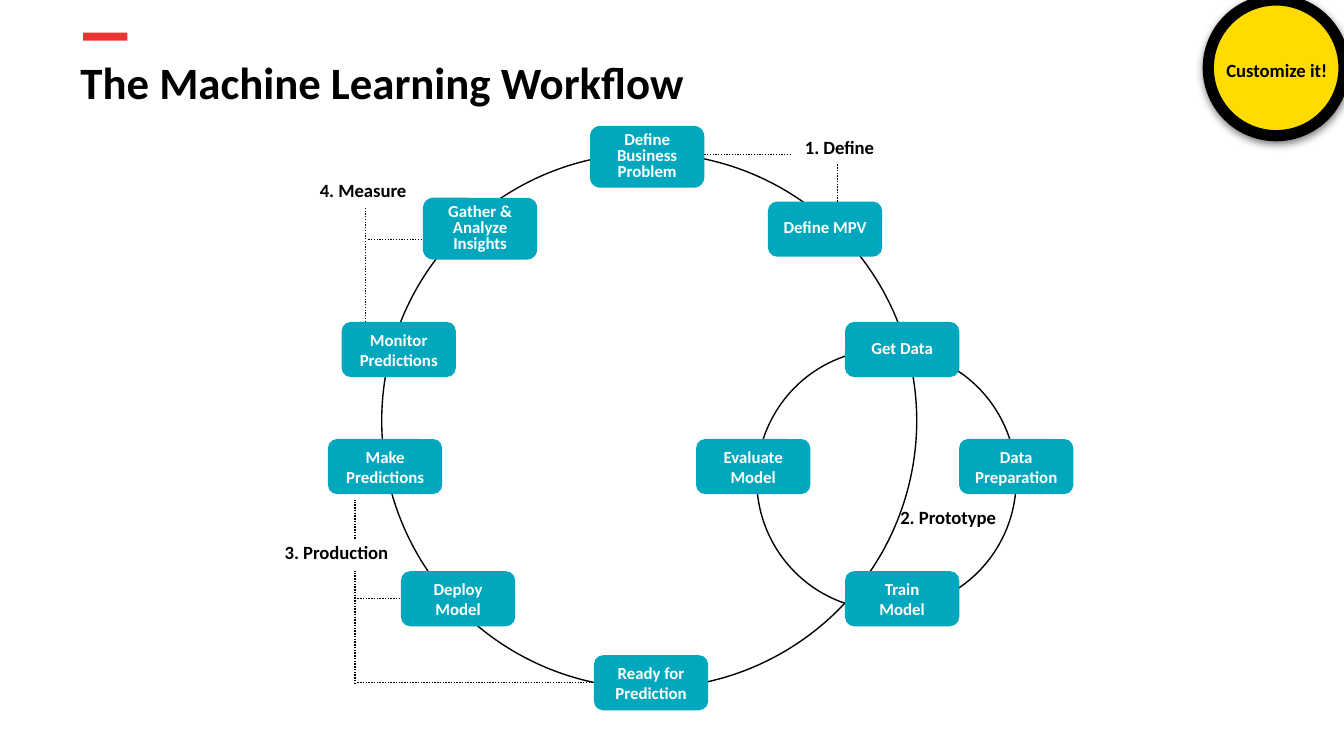
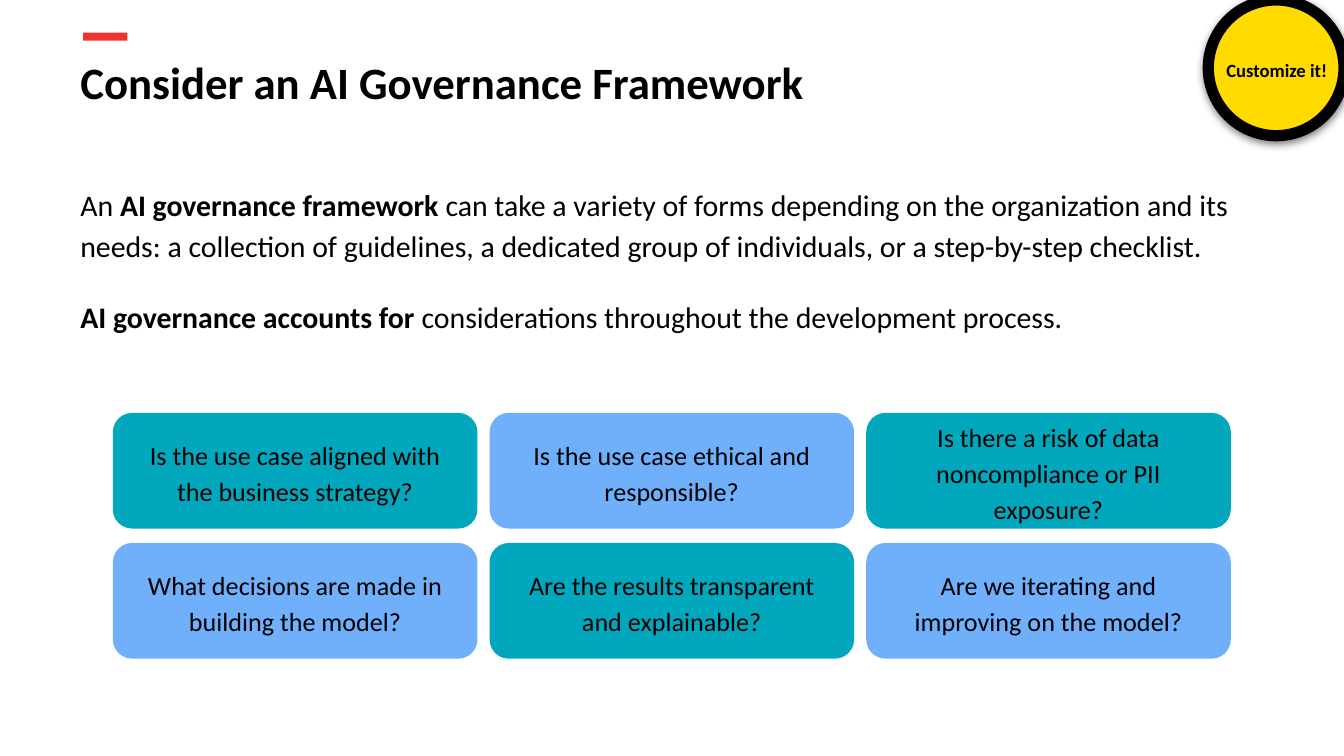
import pptx
import pptx.util
import pptx.dml.color
import pptx.enum.dml
import pptx.enum.shapes
import pptx.enum.text
import pptx.oxml
import pptx.oxml.ns
from lxml import etree

Pt = pptx.util.Pt
Kind = pptx.enum.shapes.MSO_SHAPE
Align = pptx.enum.text.PP_ALIGN
Anchor = pptx.enum.text.MSO_ANCHOR

FONT = "Calibri"
BLACK, WHITE = "000000", "FFFFFF"
RED, YELLOW = "ED332F", "FFDB00"
TEAL, BLUE = "00A7BD", "70B0FA"
PAD = 7.2
NODE_W, NODE_H, TALL_H = 61.2, 29.5, 33.1

# text, left, top, height, line spacing
NODES = [
    ("Define Business\nProblem", 316.1, 67.5, TALL_H, 0.8),
    ("Define MPV", 411.4, 108, NODE_H, 0.8),
    ("Get Data", 452.7, 172.5, NODE_H, 0.8),
    ("Data\nPreparation", 513.8, 235.2, NODE_H, 1),
    ("Train\nModel", 452.7, 306, NODE_H, 1),
    ("Evaluate\nModel", 372.9, 235.2, NODE_H, 1),
    ("Ready for\nPrediction", 318.2, 351, NODE_H, 1),
    ("Deploy\nModel", 214.8, 306, NODE_H, 1),
    ("Make Predictions", 175.7, 235.2, NODE_H, 1),
    ("Monitor\nPredictions", 183, 172.5, NODE_H, 1),
    ("Gather & Analyze\nInsights", 226.6, 106, TALL_H, 0.8),
]

PHASES = [
    ("1. Define", 424.1, 67),
    ("2. Prototype", 475.2, 265),
    ("3. Production", 145.4, 283.7),
    ("4. Measure", 164.2, 90),
]

# from x, y, to x, y
DOTS = [
    (195.8, 172.5, 195.8, 111.6),
    (197.3, 128.2, 226.6, 128.2),
    (190.1, 288.7, 190.1, 267.8),
    (190.1, 366.5, 190.1, 306),
    (448.6, 108, 448.6, 87.8),
    (377.3, 82.8, 424.1, 82.8),
]

ISSUES = [
    ["Is the use case aligned with the business strategy?",
     "Is the use case ethical and responsible?",
     "Is there a risk of data noncompliance or PII exposure?"],
    ["What decisions are made in building the model?",
     "Are the results transparent and explainable?",
     "Are we iterating and improving on the model?"],
]

# paragraphs of (text, bold) runs
INTRO = [
    [("An ", False), ("AI governance framework ", True),
     ("can take a variety of forms depending on the organization and its "
      "needs: a collection of guidelines, a dedicated group of individuals, "
      "or a step-by-step checklist.", False)],
    [("AI governance accounts for ", True),
     ("considerations throughout the development process.", False)],
]


def paint(color, code):
    """Apply a hex colour to a fill, a line or a font."""
    if hasattr(color, "solid"):
        color.solid()
        color = color.fore_color
    else:
        color = color.color
    color.rgb = pptx.dml.color.RGBColor.from_string(code)


def style(par, size, code=BLACK, bold=None, align=Align.LEFT, space=1):
    par.font.name = FONT
    par.font.size = Pt(size)
    par.font.bold = bold
    paint(par.font, code)
    par.alignment = align
    par.line_spacing = space


def setup(frame, side=PAD, anchor=Anchor.TOP):
    frame.word_wrap = True
    frame.vertical_anchor = anchor
    frame.margin_left = frame.margin_right = Pt(side)
    frame.margin_top = frame.margin_bottom = Pt(PAD)


def write(frame, text, size, **look):
    """Fill a frame with one paragraph per line of text."""
    frame.text = text
    for par in frame.paragraphs:
        style(par, size, **look)


def label(slide, text, box, size, anchor=Anchor.TOP, **look):
    frame = slide.shapes.add_textbox(*map(Pt, box)).text_frame
    setup(frame, anchor=anchor)
    write(frame, text, size, bold=True, **look)


def draw(slide, kind, box, fill=None, line=None, width=0.75):
    shape = slide.shapes.add_shape(kind, *map(Pt, box))
    shape.shadow.inherit = False
    if fill:
        paint(shape.fill, fill)
    else:
        shape.fill.background()
    if line:
        paint(shape.line, line)
        shape.line.width = Pt(width)
    else:
        shape.line.fill.background()
    return shape


def card(slide, text, box, fill, size, side=PAD, **look):
    """Draw a rounded box with centred text."""
    shape = draw(slide, Kind.ROUNDED_RECTANGLE, box, fill)
    setup(shape.text_frame, side, Anchor.MIDDLE)
    write(shape.text_frame, text, size, align=Align.CENTER, **look)
    return shape


def dotted(slide, ends):
    line = slide.shapes.add_connector(
        pptx.enum.shapes.MSO_CONNECTOR.STRAIGHT, *map(Pt, ends))
    paint(line.line, BLACK)
    line.line.width = Pt(0.75)
    line.line.dash_style = pptx.enum.dml.MSO_LINE.ROUND_DOT
    etree.SubElement(line.element.spPr, pptx.oxml.ns.qn("a:effectLst"))
    return line


def link(slide, x, node):
    """Run a level dotted line from x to the left side of a node."""
    y = (node.top + node.height // 2) / Pt(1)
    line = dotted(slide, (x, y, node.left / Pt(1), y))
    line.end_connect(node, 1)


def badge(slide):
    disc = draw(slide, Kind.OVAL, (647.3, 0, 72.7, 72.7), YELLOW, BLACK, 6)
    glow = pptx.oxml.parse_xml(
        f'<a:outerShdw {pptx.oxml.ns.nsdecls("a")} blurRad="{Pt(4.5)}" '
        f'dist="{Pt(1.5)}" dir="5400000" algn="bl" rotWithShape="0">'
        f'<a:srgbClr val="{BLACK}"><a:alpha val="50000"/></a:srgbClr>'
        '</a:outerShdw>')
    disc.element.spPr.find(pptx.oxml.ns.qn("a:effectLst")).append(glow)
    label(slide, "Customize it!", (644.4, 22.5, 79.2, 29.5), 10,
          Anchor.MIDDLE, align=Align.CENTER)


def start(deck, title):
    """Add a slide with the red bar, the title and the badge."""
    slide = deck.slides.add_slide(deck.slide_layouts[6])
    draw(slide, Kind.RECTANGLE, (44.5, 17.5, 23.8, 4.3), RED)
    label(slide, title, (36, 22.3, 671, 45.4), 24)
    badge(slide)
    return slide


def workflow(deck):
    slide = start(deck, "The Machine Learning Workflow")
    for text, x, y in PHASES:
        label(slide, text, (x, y, 90, 26.6), 10)
    for ring in ((405.4, 187.2, 139, 139.7), (204.5, 82.1, 286.6, 286.6)):
        draw(slide, Kind.OVAL, ring, line=BLACK)
    nodes = {}
    for text, x, y, high, space in NODES:
        nodes[text] = card(slide, text, (x, y, NODE_W, high), TEAL, 9, 0,
                           code=WHITE, bold=True, space=space)
    for ends in DOTS:
        dotted(slide, ends)
    for name in ("Deploy\nModel", "Ready for\nPrediction"):
        link(slide, 191.5, nodes[name])


def govern(deck):
    slide = start(deck, "Consider an AI Governance Framework")
    frame = slide.shapes.add_textbox(
        Pt(36), Pt(90), Pt(648), Pt(131.8)).text_frame
    setup(frame)
    for i, runs in enumerate(INTRO):
        par = frame.add_paragraph() if i else frame.paragraphs[0]
        style(par, 16, space=1.15)
        if i:
            par.space_before = Pt(16)
        for text, bold in runs:
            run = par.add_run()
            run.text = text
            run.font.bold = bold
    for i, row in enumerate(ISSUES):
        for j, text in enumerate(row):
            box = (60.5 + 201.8 * j, 221.2 + 69.7 * i, 195.3, 62)
            card(slide, text, box, (TEAL, BLUE)[(i + j) % 2], 14, space=1.15)


def main():
    deck = pptx.Presentation()
    deck.slide_width, deck.slide_height = Pt(720), Pt(405)
    workflow(deck)
    govern(deck)
    deck.save("out.pptx")


if __name__ == "__main__":
    main()
